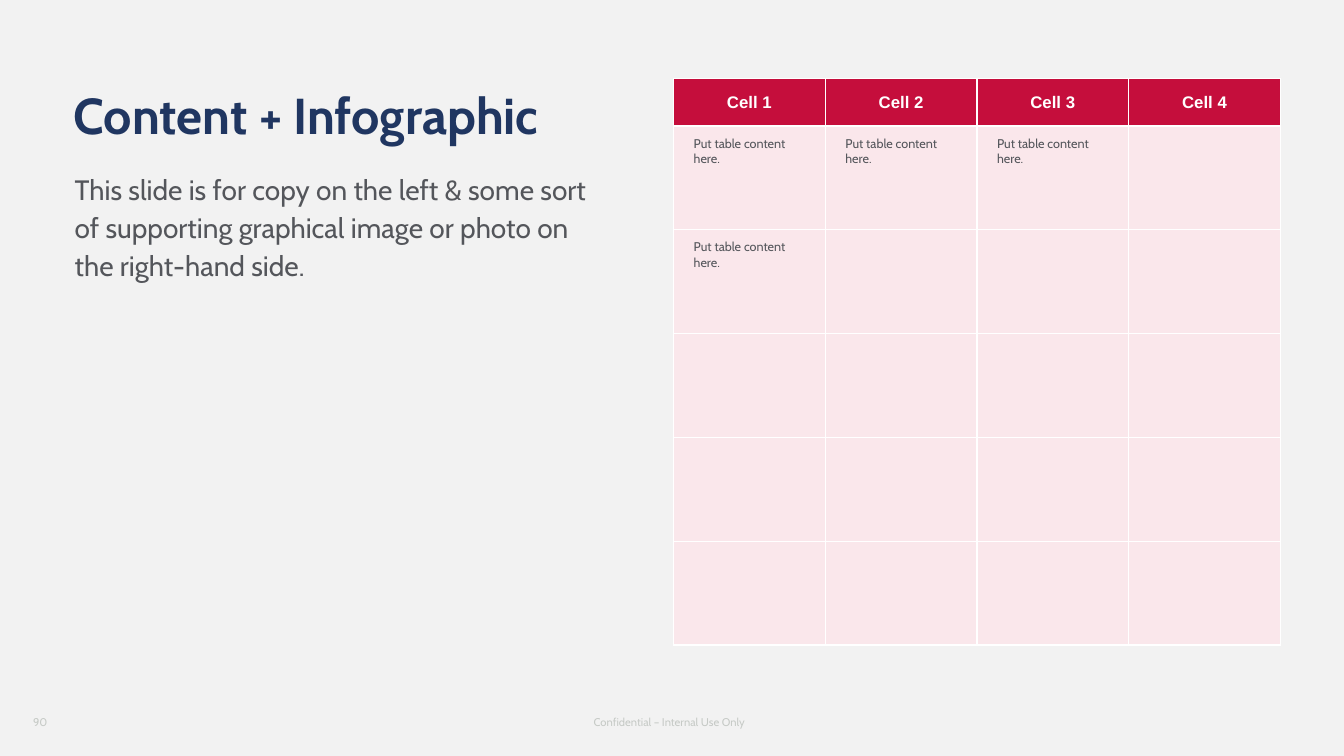
from dataclasses import dataclass

from lxml.etree import SubElement
from pptx import Presentation
from pptx.dml.color import RGBColor
from pptx.enum.text import MSO_ANCHOR as Anchor, MSO_AUTO_SIZE as AutoSize, PP_ALIGN as Align
from pptx.oxml.ns import qn
from pptx.util import Inches, Pt

TITLE = "Content + Infographic"
BODY = ("This slide is for copy on the left & some sort of supporting "
        "graphical image or photo on the right-hand side.")
FOOTER = "Confidential – Internal Use Only"
PAGE_NUMBER = "90"

HEADERS = ["Cell 1", "Cell 2", "Cell 3", "Cell 4"]
NOTE = "Put table content here."
ROWS = [
    [NOTE, NOTE, NOTE, ""],
    [NOTE, "", "", ""],
    [""] * 4,
    [""] * 4,
    [""] * 4,
]

TITLE_BOX = (0.63, 0.4, 12, 1.08)
BODY_BOX = (0.64, 1.61, 5.43, 4.65)
FOOTER_BOX = (5.14, 7, 3, 0.32)
NUMBER_BOX = (0.23, 7, 3, 0.32)
TABLE_LEFT, TABLE_TOP, TABLE_WIDTH = 6.68, 0.78, 6.02
HEADER_HEIGHT, ROW_HEIGHT = 0.47, 1.03


@dataclass(frozen=True)
class Theme:
    font: str = "Cabin"
    header_font: str = "Arial"
    background: str = "F2F2F2"
    navy: str = "203661"
    text: str = "54565B"
    muted: str = "C6CAC6"
    white: str = "FFFFFF"
    red: str = "C50E3C"
    pink: str = "FAE7EB"
    title_size: int = 36
    body_size: int = 20
    header_size: int = 12
    note_size: int = 9
    footer_size: int = 8


THEME = Theme()


def write(tf, text, *, size, color, font=THEME.font, bold=False,
          align=Align.LEFT, line_spacing=1.0):
    p = tf.paragraphs[0]
    p.alignment = align
    p.line_spacing = line_spacing
    p.space_before = Pt(0)
    r = p.add_run()
    r.text = text
    r.font.name = font
    r.font.size = Pt(size)
    r.font.bold = bold
    r.font.color.rgb = RGBColor.from_string(color)


def place(sp, box, anchor):
    """Move a shape to its box and return its wrapping text frame."""
    sp.left, sp.top, sp.width, sp.height = map(Inches, box)
    tf = sp.text_frame
    tf.word_wrap = True
    tf.auto_size = AutoSize.NONE
    tf.vertical_anchor = anchor
    return tf


def remove_bullet(p):
    pPr = p._p.get_or_add_pPr()
    pPr.set("marL", "0")
    pPr.set("indent", "0")
    SubElement(pPr, qn("a:buNone"))


def add_footer_text(slide, text, box, align):
    tf = place(slide.shapes.add_textbox(0, 0, 0, 0), box, Anchor.MIDDLE)
    write(tf, text, size=THEME.footer_size, color=THEME.muted, align=align)


def style_cell(cell, fill, margin_x, margin_y, anchor):
    tcPr = cell._tc.get_or_add_tcPr()
    for side in ("lnL", "lnR", "lnT", "lnB"):
        ln = SubElement(tcPr, qn(f"a:{side}"), w=str(Pt(1)))
        SubElement(SubElement(ln, qn("a:solidFill")), qn("a:srgbClr"), val=THEME.white)
    cell.fill.solid()
    cell.fill.fore_color.rgb = RGBColor.from_string(fill)
    cell.margin_left = cell.margin_right = Inches(margin_x)
    cell.margin_top = cell.margin_bottom = Inches(margin_y)
    cell.vertical_anchor = anchor


def add_content_table(slide):
    heights = [HEADER_HEIGHT] + [ROW_HEIGHT] * len(ROWS)
    table = slide.shapes.add_table(
        len(heights), len(HEADERS), Inches(TABLE_LEFT), Inches(TABLE_TOP),
        Inches(TABLE_WIDTH), Inches(sum(heights))).table
    table.horz_banding = False
    for row, height in zip(table.rows, heights):
        row.height = Inches(height)
    for col, text in enumerate(HEADERS):
        cell = table.cell(0, col)
        style_cell(cell, THEME.red, 0.1, 0.05, Anchor.MIDDLE)
        write(cell.text_frame, text, size=THEME.header_size, color=THEME.white,
              font=THEME.header_font, bold=True, align=Align.CENTER)
    for row, texts in enumerate(ROWS, 1):
        for col, text in enumerate(texts):
            cell = table.cell(row, col)
            style_cell(cell, THEME.pink, 0.2, 0.1, Anchor.TOP)
            if text:
                write(cell.text_frame, text, size=THEME.note_size, color=THEME.text)


def main():
    prs = Presentation()
    prs.slide_width, prs.slide_height = Inches(13.33), Inches(7.5)
    s = prs.slides.add_slide(prs.slide_layouts[1])
    s.background.fill.solid()
    s.background.fill.fore_color.rgb = RGBColor.from_string(THEME.background)

    add_footer_text(s, FOOTER, FOOTER_BOX, Align.CENTER)
    write(place(s.shapes.title, TITLE_BOX, Anchor.BOTTOM), TITLE,
          size=THEME.title_size, color=THEME.navy, bold=True, line_spacing=0.8)
    add_footer_text(s, PAGE_NUMBER, NUMBER_BOX, Align.LEFT)

    tf = place(s.placeholders[1], BODY_BOX, Anchor.TOP)
    remove_bullet(tf.paragraphs[0])
    write(tf, BODY, size=THEME.body_size, color=THEME.text, line_spacing=1.14)

    add_content_table(s)
    prs.save("out.pptx")


if __name__ == "__main__":
    main()
